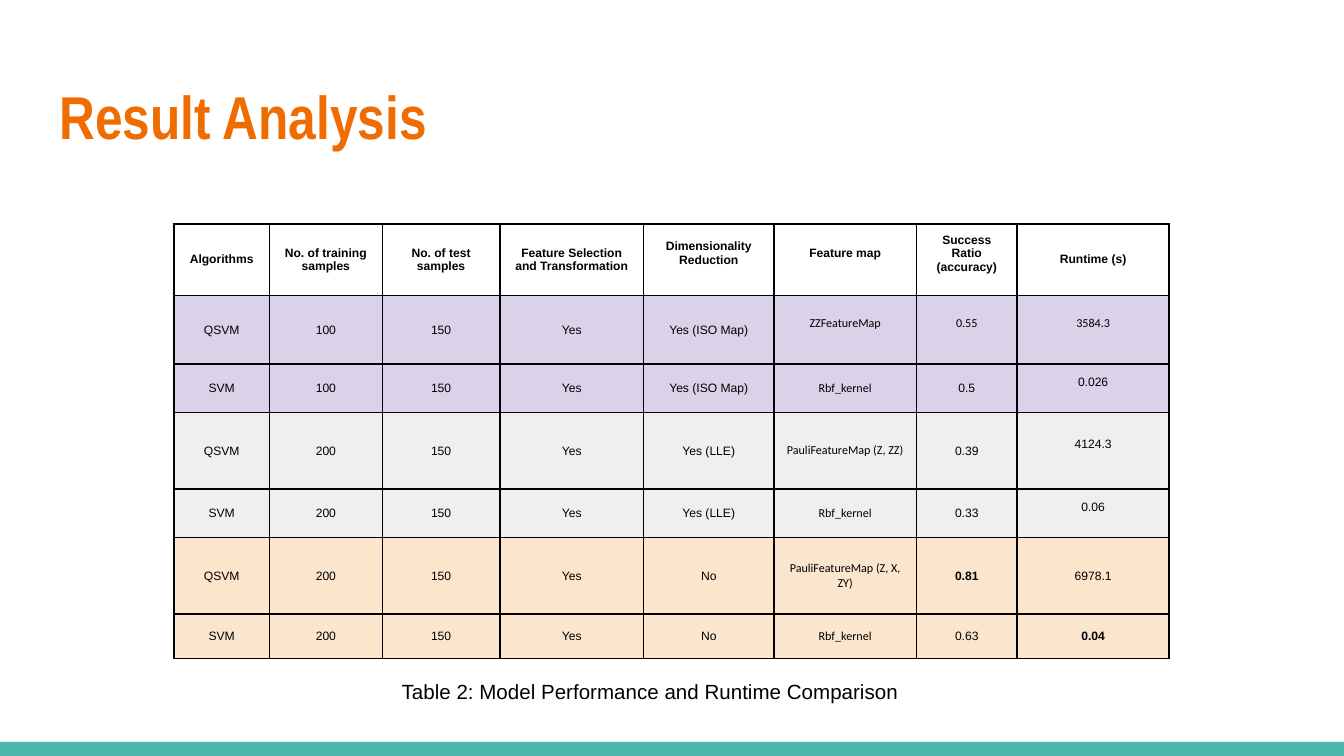
from dataclasses import dataclass

from pptx import Presentation
from pptx.dml.color import RGBColor
from pptx.enum.shapes import MSO_SHAPE
from pptx.enum.text import MSO_ANCHOR, PP_ALIGN
from pptx.oxml import parse_xml
from pptx.oxml.ns import nsdecls
from pptx.util import Emu, Pt

PX = 4572  # 200 px to the inch


@dataclass(frozen=True)
class Theme:
    white: str = "FFFFFF"
    black: str = "000000"
    orange: str = "EF6C00"
    teal: str = "4DB6AC"
    lilac: str = "D9D2E9"
    grey: str = "EFEFEF"
    peach: str = "FCE5CD"
    sans: str = "Arial"
    narrow: str = "Arial Narrow"
    code: str = "Calibri"
    title_pt: float = 32.4
    caption_pt: float = 11
    cell_pt: float = 6.5
    border_pt: float = 1


@dataclass(frozen=True)
class Box:
    x: int
    y: int
    w: int
    h: int

    def emu(self) -> tuple:
        return tuple(Emu(v * PX) for v in (self.x, self.y, self.w, self.h))


@dataclass(frozen=True)
class TableRow:
    height: int
    fill: str
    values: tuple
    raised: tuple = ()  # columns whose text sits above the middle
    code: tuple = (5,)  # columns set in the code font
    bold: tuple = ()


T = Theme()
SLIDE_W, SLIDE_H, BAR_H = 2000, 1125, 21
COLUMNS = (142, 168, 175, 214, 194, 212, 150, 226)
CELL_PAD, RAISED_PAD = 14, 33
ROWS = (
    TableRow(104, T.white, ("Algorithms", "No. of training samples", "No. of test samples",
                            "Feature Selection and Transformation", "Dimensionality Reduction",
                            "Feature map", "Success Ratio (accuracy)", "Runtime (s)"),
             raised=(4, 5, 6), code=(), bold=tuple(range(8))),
    TableRow(102, T.lilac, ("QSVM", "100", "150", "Yes", "Yes (ISO Map)", "ZZFeatureMap",
                            "0.55", "3584.3"), raised=(5, 6, 7), code=(5, 6, 7)),
    TableRow(72, T.lilac, ("SVM", "100", "150", "Yes", "Yes (ISO Map)", "Rbf_kernel",
                           "0.5", "0.026"), raised=(7,)),
    TableRow(114, T.grey, ("QSVM", "200", "150", "Yes", "Yes (LLE)",
                           "PauliFeatureMap (Z, ZZ)", "0.39", "4124.3"), raised=(7,)),
    TableRow(72, T.grey, ("SVM", "200", "150", "Yes", "Yes (LLE)", "Rbf_kernel",
                          "0.33", "0.06"), raised=(7,)),
    TableRow(114, T.peach, ("QSVM", "200", "150", "Yes", "No",
                            "PauliFeatureMap (Z, X, ZY)", "0.81", "6978.1"), bold=(6,)),
    TableRow(66, T.peach, ("SVM", "200", "150", "Yes", "No", "Rbf_kernel",
                           "0.63", "0.04"), bold=(7,)),
)


def write(tf, text: str, font: str, size: float, color: str, bold: bool = False) -> None:
    tf.text = text
    tf.word_wrap = True
    f = tf.paragraphs[0].runs[0].font
    f.name, f.size, f.bold = font, Pt(size), bold
    f.color.rgb = RGBColor.from_string(color)


def add_text(s, box: Box, text: str, font: str, size: float, color: str,
             bold: bool = False) -> None:
    tf = s.shapes.add_textbox(*box.emu()).text_frame
    tf.vertical_anchor = MSO_ANCHOR.MIDDLE
    write(tf, text, font, size, color, bold)


def add_borders(cell) -> None:
    props = cell._tc.get_or_add_tcPr()
    for i, side in enumerate(("lnL", "lnR", "lnT", "lnB")):
        props.insert(i, parse_xml(
            f'<a:{side} {nsdecls("a")} w="{Pt(T.border_pt)}"><a:solidFill>'
            f'<a:srgbClr val="{T.black}"/></a:solidFill></a:{side}>'))


def fill_row(table, index: int, row: TableRow) -> None:
    table.rows[index].height = Emu(row.height * PX)
    for col, value in enumerate(row.values):
        cell = table.cell(index, col)
        font = T.code if col in row.code else T.sans
        write(cell.text_frame, value, font, T.cell_pt, T.black, col in row.bold)
        cell.text_frame.paragraphs[0].alignment = PP_ALIGN.CENTER
        cell.vertical_anchor = MSO_ANCHOR.MIDDLE
        cell.margin_left = cell.margin_right = cell.margin_top = Emu(CELL_PAD * PX)
        cell.margin_bottom = Emu((RAISED_PAD if col in row.raised else CELL_PAD) * PX)
        if row.fill == T.white:
            cell.fill.background()
        else:
            cell.fill.solid()
            cell.fill.fore_color.rgb = RGBColor.from_string(row.fill)
        add_borders(cell)


def add_results(s, x: int, y: int) -> None:
    box = Box(x, y, sum(COLUMNS), sum(row.height for row in ROWS))
    table = s.shapes.add_table(len(ROWS), len(COLUMNS), *box.emu()).table
    table.first_row = table.horz_banding = False
    for column, width in zip(table.columns, COLUMNS):
        column.width = Emu(width * PX)
    for index, row in enumerate(ROWS):
        fill_row(table, index, row)


def add_bar(s, box: Box, color: str) -> None:
    sp = s.shapes.add_shape(MSO_SHAPE.RECTANGLE, *box.emu())
    sp.shadow.inherit = False
    sp.fill.solid()
    sp.fill.fore_color.rgb = RGBColor.from_string(color)
    sp.line.fill.background()


def main() -> None:
    prs = Presentation()
    prs.slide_width, prs.slide_height = Emu(SLIDE_W * PX), Emu(SLIDE_H * PX)
    s = prs.slides.add_slide(prs.slide_layouts[6])

    # Footer bar
    add_bar(s, Box(0, SLIDE_H - BAR_H, SLIDE_W, BAR_H), T.teal)
    # Results table
    add_results(s, 259, 333)
    # Title and caption
    add_text(s, Box(69, 95, 1864, 154), "Result Analysis", T.narrow, T.title_pt, T.orange, True)
    add_text(s, Box(578, 999, 904, 58), "Table 2: Model Performance and Runtime Comparison",
             T.sans, T.caption_pt, T.black)

    prs.save("out.pptx")


if __name__ == "__main__":
    main()
